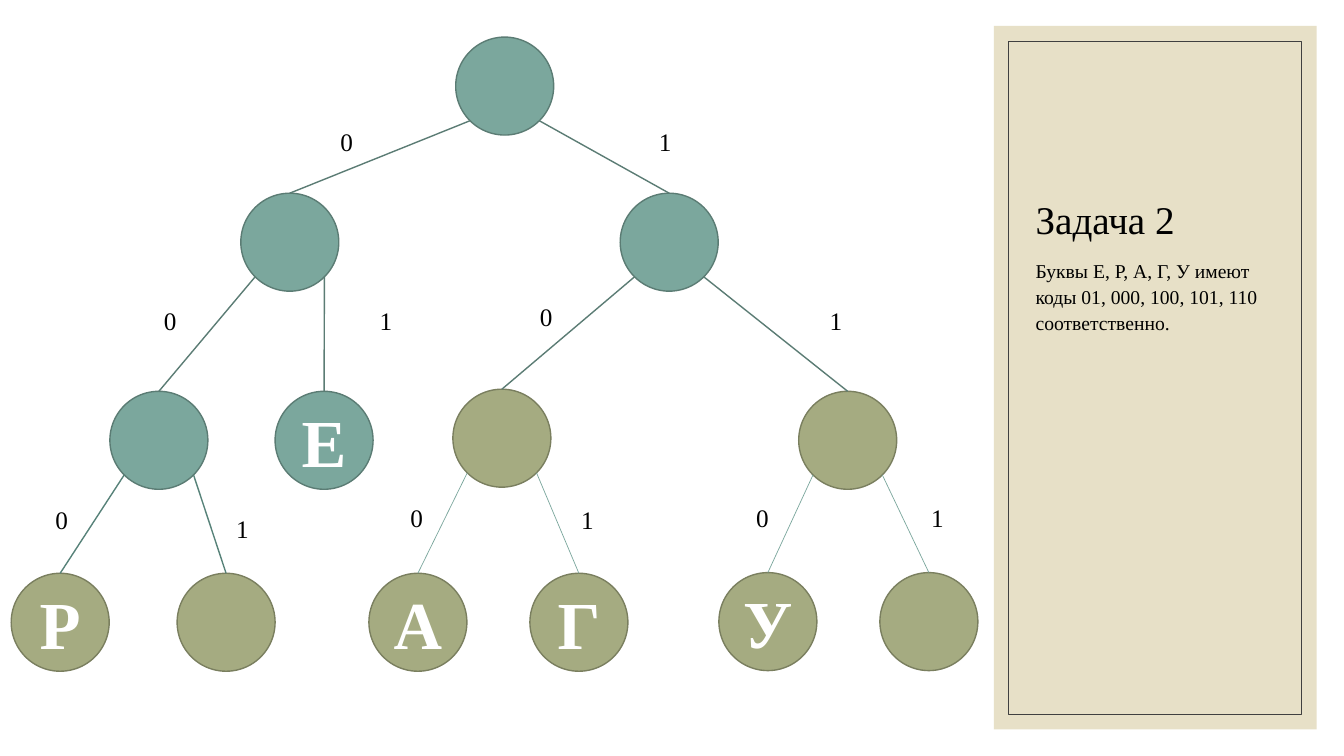
from lxml import etree
from pptx import Presentation
from pptx import util as u
from pptx.dml.color import RGBColor
from pptx.enum import shapes, text
from pptx.oxml.ns import qn

TITLE = "Задача 2"
BODY = "Буквы Е, Р, А, Г, У имеют коды 01, 000, 100, 101, 110 соответственно."
LETTERS = {"01": "Е", "000": "Р", "100": "А", "101": "Г", "110": "У"}

# Binary code of a node: left and top of its circle
NODES = {
    "": (325.5, 26.5),
    "0": (172, 138), "1": (443, 138),
    "00": (78.5, 279.5), "01": (196.5, 279.5), "10": (323.5, 278), "11": (570.5, 279.5),
    "000": (8, 409.5), "001": (126.5, 409.5), "100": (263.5, 409.5),
    "101": (378.5, 409.5), "110": (513.5, 409), "111": (628.5, 409),
}
# Binary code of the lower node: left and top of the label on its branch
LABELS = {
    "0": (236, 86.5), "1": (463.5, 86.5),
    "00": (110, 214.5), "01": (264, 214.5), "10": (378.5, 211.5), "11": (585.5, 214.5),
    "000": (32.5, 356.5), "001": (161.5, 363), "100": (286, 355.5),
    "101": (408, 356.5), "110": (533, 355.5), "111": (658, 355.5),
}
TEAL_NODES = ("", "0", "1", "00", "01")
PANEL = (710, 18.5, 230.5, 502.5)
FRAME = (720.5, 29.5, 209, 481)
TITLE_BOX = (732.5, 47.5, 191.5, 129.5)
BODY_BOX = (732.5, 180, 191.5, 276)
LABEL_SIZE = (21, 23)
DIAMETER = 70
CORNER = DIAMETER * (1 - 0.5 ** 0.5) / 2


class Theme:
    font = "Times New Roman"
    black, white = "000000", "FFFFFF"
    panel, frame = "E7E0C7", "404040"
    teal = ("7BA79D", "5B7C74")
    olive = ("A5AB81", "7A7F5F")
    branch, left_leaf, right_leaf = ("5B7C74", 1), ("578279", 1), ("7BA79D", 0.5)
    title, body, label, letter = 28, 14, 18, 48


def points(values):
    return [u.Pt(value) for value in values]


def apply(target, values):
    for name, value in values.items():
        setattr(target, name, value)


def write(box, words, size, color, bold=False, paragraph=None, frame=None):
    apply(box.text_frame, {"word_wrap": True, **(frame or {})})
    para = box.text_frame.paragraphs[0]
    apply(para, {"alignment": text.PP_ALIGN.LEFT, "space_before": u.Pt(0), **(paragraph or {})})
    span = para.add_run()
    span.text = words
    apply(span.font, {"name": Theme.font, "size": u.Pt(size), "bold": bold})
    span.font.color.rgb = RGBColor.from_string(color)


def draw_line(line, color, width):
    line.color.rgb = RGBColor.from_string(color)
    line.width = u.Pt(width)


def add_figure(page, kind, bounds, fill=None, line=None):
    figure = page.shapes.add_shape(kind, *points(bounds))
    figure.shadow.inherit = False
    if fill:
        figure.fill.solid()
        figure.fill.fore_color.rgb = RGBColor.from_string(fill)
    else:
        figure.fill.background()
    if line:
        draw_line(figure.line, *line)
    else:
        figure.line.fill.background()
    return figure


def add_side_panel(page):
    title, content, body = page.placeholders
    content.element.getparent().remove(content.element)
    for bounds, fill, line in ((PANEL, Theme.panel, None), (FRAME, None, (Theme.frame, 0.5))):
        figure = add_figure(page, shapes.MSO_SHAPE.RECTANGLE, bounds, fill, line)
        title.element.addprevious(figure.element)
    for holder, bounds, words, size, anchor, spacing in (
        (title, TITLE_BOX, TITLE, Theme.title, text.MSO_ANCHOR.BOTTOM, 0.9),
        (body, BODY_BOX, BODY, Theme.body, text.MSO_ANCHOR.TOP, 1.1),
    ):
        apply(holder, dict(zip(("left", "top", "width", "height"), points(bounds))))
        write(holder, words, size, Theme.black, paragraph={"line_spacing": spacing},
              frame={"vertical_anchor": anchor, "auto_size": text.MSO_AUTO_SIZE.NONE})


def add_node(page, code):
    fill, outline = Theme.teal if code in TEAL_NODES else Theme.olive
    bounds = (*NODES[code], DIAMETER, DIAMETER)
    node = add_figure(page, shapes.MSO_SHAPE.OVAL, bounds, fill, (outline, 1))
    if code in LETTERS:
        margins = {f"margin_{side}": 0 for side in ("left", "right")}
        write(node, LETTERS[code], Theme.letter, Theme.white, True,
              {"alignment": text.PP_ALIGN.CENTER},
              {"vertical_anchor": text.MSO_ANCHOR.MIDDLE, **margins})


def add_branch(page, code):
    """Join a node to its parent, whose code is one digit shorter."""
    left, top = NODES[code[:-1]]
    child_left, child_top = NODES[code]
    start = (left + (CORNER if code[-1] == "0" else DIAMETER - CORNER),
             top + DIAMETER - CORNER)
    end = (child_left + DIAMETER / 2, child_top)
    branch = page.shapes.add_connector(shapes.MSO_CONNECTOR.STRAIGHT, *points(start + end))
    if len(code) < 3:
        style = Theme.branch
    else:
        style = Theme.left_leaf if code[0] == "0" else Theme.right_leaf
    draw_line(branch.line, *style)
    etree.SubElement(branch.element.spPr, qn("a:effectLst"))

    label = page.shapes.add_textbox(*points(LABELS[code] + LABEL_SIZE))
    write(label, code[-1], Theme.label, Theme.black)


def main():
    deck = Presentation()
    deck.slide_width, deck.slide_height = points((960, 540))
    page = deck.slides.add_slide(deck.slide_layouts.get_by_name("Content with Caption"))
    add_side_panel(page)
    for code in NODES:
        add_node(page, code)
    for code in LABELS:
        add_branch(page, code)
    deck.save("out.pptx")


if __name__ == "__main__":
    main()
